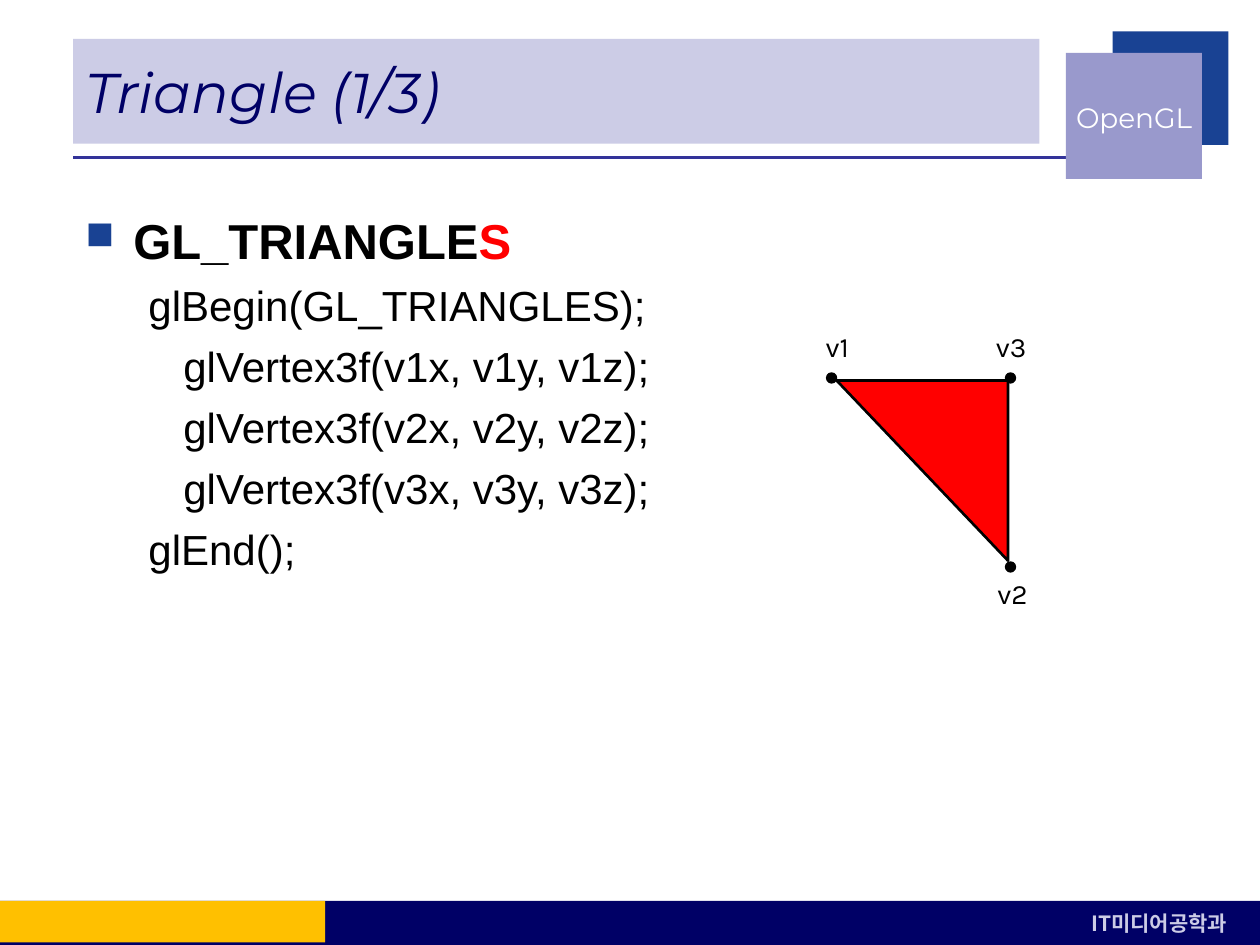
from lxml import etree
from pptx import Presentation
from pptx.dml.color import RGBColor
from pptx.enum import shapes, text
from pptx.oxml import ns
from pptx.util import Inches, Pt

HUES = {
    "navy": "000066", "blue": "194293", "rule": "333399", "lilac": "9999CC",
    "pale": "CCCCE6", "gold": "FFC000", "red": "FF0000", "black": "000000",
    "white": "FFFFFF",
}
KIND = shapes.MSO_SHAPE
ALIGN = text.PP_ALIGN
MID = text.MSO_ANCHOR.MIDDLE
CODE = [
    "glBegin(GL_TRIANGLES);",
    "   glVertex3f(v1x, v1y, v1z);",
    "   glVertex3f(v2x, v2y, v2z);",
    "   glVertex3f(v3x, v3y, v3z);",
    "glEnd();",
]


def tint(name):
    return RGBColor.from_string(HUES[name])


class Deck:
    def __init__(self):
        self.prs = Presentation()
        self.prs.slide_width = Inches(10)
        self.prs.slide_height = Inches(7.5)
        self.page = self.prs.slides.add_slide(self.prs.slide_layouts[6])

    def shape(self, kind, box, fill, line=None, width=0.75):
        item = self.page.shapes.add_shape(kind, *map(Inches, box))
        item.shadow.inherit = False
        item.fill.solid()
        item.fill.fore_color.rgb = tint(fill)
        if line:
            item.line.color.rgb = tint(line)
            item.line.width = Pt(width)
        else:
            item.line.fill.background()
        return item

    def rule(self, start, end, hue, width):
        line = self.page.shapes.add_connector(
            shapes.MSO_CONNECTOR.STRAIGHT, *map(Inches, start + end))
        line.line.color.rgb = tint(hue)
        line.line.width = Pt(width)
        etree.SubElement(line._element.spPr, ns.qn("a:effectLst"))

    def font(self, para, face, size, hue, bold=False, italic=False):
        font = para.font
        font.name, font.size = face, Pt(size)
        font.bold, font.italic = bold, italic
        font.color.rgb = tint(hue)

    def words(self, item, line, face, size, hue, align=ALIGN.CENTER,
              anchor=text.MSO_ANCHOR.TOP, wrap=True, **style):
        frame = item.text_frame
        frame.word_wrap = wrap
        frame.vertical_anchor = anchor
        para = frame.paragraphs[0]
        para.text = line
        para.alignment = align
        self.font(para, face, size, hue, **style)

    def label(self, box, line, face, size, hue, **style):
        item = self.page.shapes.add_textbox(*map(Inches, box))
        self.words(item, line, face, size, hue, **style)

    def indent(self, para, left, first):
        props = para._p.get_or_add_pPr()
        props.set("marL", str(Inches(left)))
        props.set("indent", str(Inches(first)))
        return props

    def bullet(self, para, mark, hue, scale):
        props = self.indent(para, 0.38, -0.38)
        color = etree.SubElement(props, ns.qn("a:buClr"))
        etree.SubElement(color, ns.qn("a:srgbClr"), val=HUES[hue])
        etree.SubElement(props, ns.qn("a:buSzPct"), val=str(scale * 1000))
        etree.SubElement(props, ns.qn("a:buChar"), char=mark)

    def body(self, box, parts, code):
        frame = self.page.shapes.add_textbox(*map(Inches, box)).text_frame
        frame.word_wrap = True
        head = frame.paragraphs[0]
        self.bullet(head, "■", "blue", 80)
        self.font(head, "Arial", 28, "black", bold=True)
        for part, hue in parts:
            run = head.add_run()
            run.text = part
            run.font.color.rgb = tint(hue)
        for line in code:
            para = frame.add_paragraph()
            para.text = line
            para.space_before = Pt(6)
            self.indent(para, 0.81, -0.31)
            self.font(para, "Arial", 24, "black")


def main():
    deck = Deck()
    deck.rule((0.58, 1.25), (8.5, 1.25), "rule", 2.25)
    deck.shape(KIND.RECTANGLE, (8.83, 0.25, 0.92, 0.9), "blue")
    deck.shape(KIND.RECTANGLE, (8.46, 0.42, 1.08, 1), "lilac")
    deck.label((8.44, 0.6, 1.12, 0.67), "OpenGL", "Montserrat", 16, "white",
               align=ALIGN.RIGHT, anchor=MID, wrap=False)

    deck.shape(KIND.RECTANGLE, (0, 7.15, 10, 0.35), "navy")
    foot = deck.shape(KIND.RECTANGLE, (8.41, 7.18, 1.58, 0.3), "navy")
    deck.words(foot, "IT미디어공학과", "Noto Sans CJK KR", 12, "pale", bold=True)
    deck.shape(KIND.RECTANGLE, (0, 7.15, 2.58, 0.33), "gold")

    title = deck.shape(KIND.RECTANGLE, (0.58, 0.31, 7.67, 0.83), "pale")
    deck.words(title, "Triangle (1/3)", "Montserrat", 32, "navy",
               align=ALIGN.LEFT, anchor=MID, italic=True)
    deck.body((0.58, 1.62, 8.92, 5.13),
              [("GL_TRIANGLE", "black"), ("S", "red")], CODE)

    face = deck.shape(KIND.RIGHT_TRIANGLE, (6.64, 3.02, 1.36, 1.43),
                      "red", "black", 1.5)
    face.rotation = 180
    for name, x, y, left, top in [
        ("v1", 6.56, 2.96, 6.41, 2.57),
        ("v3", 7.98, 2.96, 7.79, 2.57),
        ("v2", 7.98, 4.46, 7.8, 4.53),
    ]:
        deck.shape(KIND.OVAL, (x, y, 0.08, 0.08), "black", "black")
        deck.label((left, top, 0.47, 0.4), name, "Karla", 16, "black")
    deck.prs.save("out.pptx")


if __name__ == "__main__":
    main()
